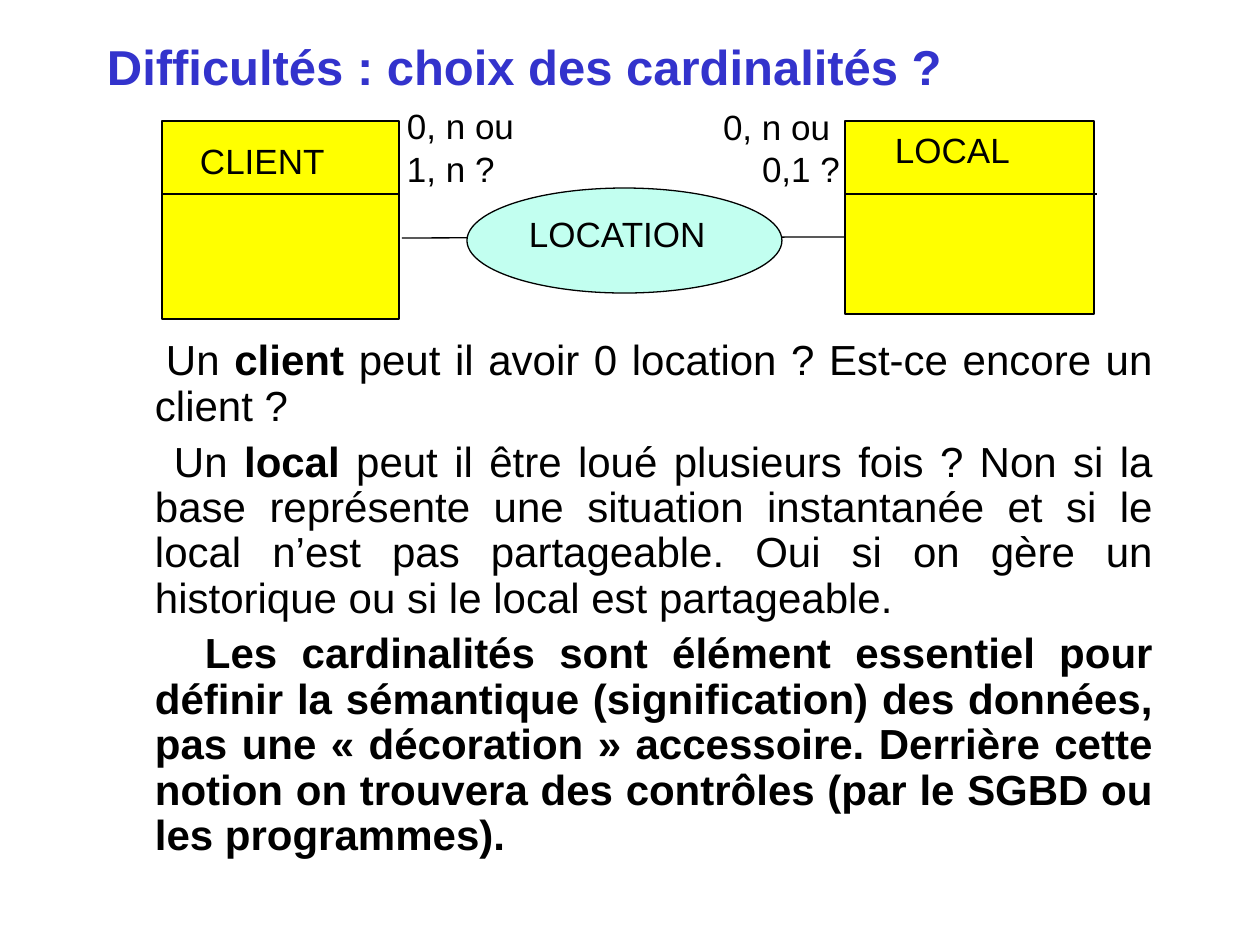
from lxml import etree
from pptx import Presentation, util as u
from pptx.dml.color import RGBColor
from pptx.enum import shapes, text
from pptx.oxml.ns import qn

PX = 914400 // 126
BLACK, BLUE, YELLOW, AQUA = "000000", "3333CC", "FFFF00", "C2FFF0"


def paint(colour_format, colour):
    colour_format.rgb = RGBColor.from_string(colour)


def add_text(box, paragraphs, size, colour=BLACK, align=text.PP_ALIGN.LEFT):
    """Each paragraph is a list of (wording, bold) pairs."""
    frame = slide.shapes.add_textbox(*(v * PX for v in box)).text_frame
    layout = dict(margin_left=0, margin_top=0, margin_right=0, margin_bottom=0, word_wrap=True)
    for key, value in layout.items():
        setattr(frame, key, value)
    for i, pieces in enumerate(paragraphs):
        paragraph = frame.paragraphs[0] if i == 0 else frame.add_paragraph()
        paragraph.alignment = align
        for wording, bold in pieces:
            run = paragraph.add_run()
            run.text = wording
            for key, value in dict(name="Arial", size=u.Pt(size), bold=bold).items():
                setattr(run.font, key, value)
            paint(run.font.color, colour)
    return frame


prs = Presentation()
prs.slide_width, prs.slide_height = u.Inches(10), u.Inches(7.5)
slide = prs.slides.add_slide(prs.slide_layouts[6])

add_text((107, 36, 1046, 56), [[("Difficultés : choix des cardinalités ?", True)]], 28, BLUE)

# Entities, then the links, then the association on top of its link
rectangle, oval = shapes.MSO_SHAPE.RECTANGLE, shapes.MSO_SHAPE.OVAL
client = (rectangle, YELLOW, (162, 121, 237, 198))
local = (rectangle, YELLOW, (845, 121, 249, 193))
location = (oval, AQUA, (467, 188, 315, 105))
links = [(162, 194, 399, 194), (845, 194, 1097, 194), (402, 238, 845, 237)]

for part in (client, local, *links, location):
    if part in links:
        drawn = slide.shapes.add_connector(
            shapes.MSO_CONNECTOR.STRAIGHT, *(v * PX for v in part))
        etree.SubElement(drawn._element.spPr, qn("a:effectLst"))
    else:
        outline, colour, box = part
        drawn = slide.shapes.add_shape(outline, *(v * PX for v in box))
        drawn.shadow.inherit = False
        drawn.fill.solid()
        paint(drawn.fill.fore_color, colour)
    drawn.line.width = u.Pt(0.75)
    paint(drawn.line.color, BLACK)

labels = [
    ("CLIENT", (200, 139, 150, 42)),
    ("LOCAL", (895, 128, 150, 42)),
    ("LOCATION", (529, 212, 200, 42)),
]
for wording, box in labels:
    add_text(box, [[(wording, False)]], 20)

cardinalities = [
    (("0, n ou", "1, n ?"), (407, 105, 150, 84), text.PP_ALIGN.LEFT),
    (("0, n ou ", "0,1 ?"), (690, 106, 150, 84), text.PP_ALIGN.RIGHT),
]
for choices, box, align in cardinalities:
    add_text(box, [[(choice, False)] for choice in choices], 20, align=align)

questions = [
    [("Un ", False), ("client ", True),
     ("peut il avoir 0 location ? Est-ce encore un client ?", False)],
    [("Un ", False), ("local", True),
     (" peut il être loué plusieurs fois ? Non si la base représente une situation "
      "instantanée et si le local n’est pas partageable. Oui si on gère un historique "
      "ou si le local est partageable.", False)],
    [("Les cardinalités sont élément essentiel pour définir la sémantique "
      "(signification) des données, pas une « décoration » accessoire. Derrière cette "
      "notion on trouvera des contrôles (par le SGBD ou les programmes).", True)],
]
discussion = add_text((155, 339, 998, 520), questions, 24, align=text.PP_ALIGN.JUSTIFY)
for paragraph, first_line_indent in zip(discussion.paragraphs, (11, 19, 50)):
    paragraph.line_spacing = u.Pt(25.9)
    paragraph.space_after = u.Pt(6)
    paragraph._p.get_or_add_pPr().set("indent", str(first_line_indent * PX))

prs.save("out.pptx")
